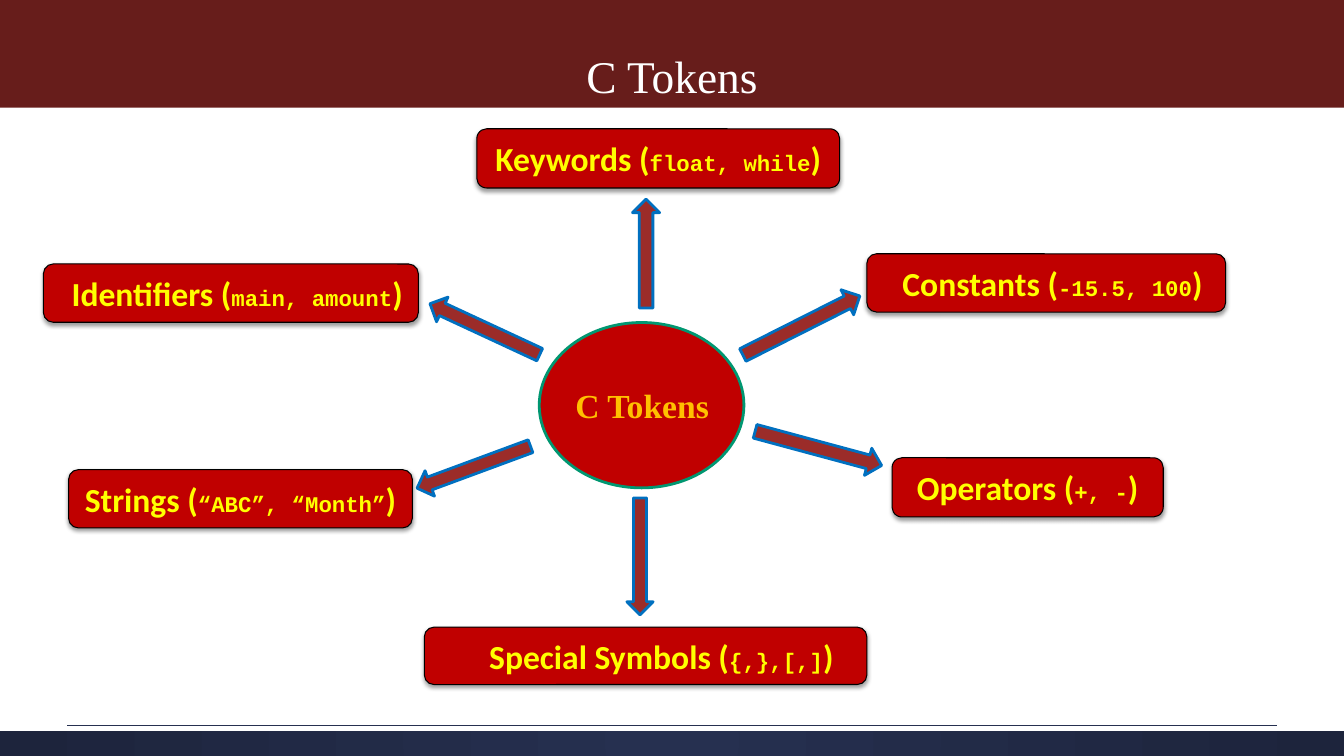
from pptx import Presentation
from pptx.dml.color import RGBColor
from pptx.enum.shapes import MSO_CONNECTOR, MSO_SHAPE
from pptx.enum.text import MSO_ANCHOR, PP_ALIGN
from pptx.oxml import parse_xml
from pptx.oxml.ns import nsdecls
from pptx.util import Pt

RECT, ROUND = MSO_SHAPE.RECTANGLE, MSO_SHAPE.ROUNDED_RECTANGLE
OVAL, ARROW = MSO_SHAPE.OVAL, MSO_SHAPE.RIGHT_ARROW
MID, LOW, MAIN = MSO_ANCHOR.MIDDLE, MSO_ANCHOR.BOTTOM, PP_ALIGN.CENTER
HUES = {
    "band": "671D1B", "red": "C00000", "brown": "9B2C29", "blue": "0070C0",
    "green": "009771", "gold": "FFC000", "yellow": "FFFF00", "white": "FFFFFF",
    "black": "000000", "navy": "263050", "night": "1D243C",
}
COL = {name: RGBColor.from_string(code) for name, code in HUES.items()}


def draw(home, kind, spot, fill, edge=None, width=0):
    shape = home.add_shape(kind, *[Pt(n) for n in spot])
    shape.shadow.inherit = False
    shape.fill.solid()
    shape.fill.fore_color.rgb = COL[fill]
    if edge:
        shape.line.color.rgb = COL[edge]
        shape.line.width = Pt(width)
    else:
        shape.line.fill.background()
    return shape


def write(para, text, hue, form):
    run = para.add_run()
    run.text = text
    run.font.color.rgb = COL[hue]
    for key, value in form.items():
        setattr(run.font, key, value)


deck = Presentation()
deck.slide_width, deck.slide_height = Pt(960), Pt(540)
slide = deck.slides.add_slide(deck.slide_layouts[5])
shapes = slide.shapes

# Footer band with a radial gradient, white strip and rule
foot = draw(shapes, RECT, (0, 518.4, 960, 21.6), "navy")
foot.fill.gradient()
for stop, hue in zip(foot.fill.gradient_stops, ("navy", "night")):
    stop.color.rgb = COL[hue]
grad = foot.fill._xPr.gradFill
grad.remove(grad.lin)
grad.append(parse_xml(
    f'<a:path {nsdecls("a")} path="circle">'
    '<a:fillToRect l="50000" t="50000" r="50000" b="50000"/></a:path>'))
draw(shapes, RECT, (0, 518.4, 960, 3.6), "white")
rule = shapes.add_connector(
    MSO_CONNECTOR.STRAIGHT, Pt(48), Pt(518), Pt(912), Pt(518))
rule.line.color.rgb = COL["navy"]
rule.line.width = Pt(0.75)
rule._element.spPr.append(parse_xml(f'<a:effectLst {nsdecls("a")}/>'))

# Title
title = shapes.title
for key, value in dict(left=0, top=0, width=960, height=77).items():
    setattr(title, key, Pt(value))
title.fill.solid()
title.fill.fore_color.rgb = COL["band"]
title.text_frame.vertical_anchor = LOW
head = title.text_frame.paragraphs[0]
head.alignment = MAIN
write(head, "C Tokens", "white", dict(name="Times New Roman", size=Pt(32.4)))

# Hub
hub = shapes.add_group_shape().shapes
draw(hub, OVAL, (385.2, 230.4, 146.2, 118.1), "red", "green", 2)
label = hub.add_textbox(Pt(403.9), Pt(271.4), Pt(119.5), Pt(36))
label.text_frame.word_wrap = True
write(label.text_frame.paragraphs[0], "C Tokens", "gold",
      dict(name="Times New Roman", size=Pt(24), bold=True))

# Arrows: left, top, length, thickness, turn
for *spot, turn in [
    (537.8, 310.3, 93.6, 20, 15.1),
    (422.6, 171.4, 77.8, 19.4, 270),
    (303.1, 225.4, 86.4, 19.4, 204.9),
    (525.6, 222.5, 93.6, 20, 333.2),
    (295.2, 324, 86.4, 19.4, 159.7),
    (415.4, 388.1, 83.5, 18.7, 90),
]:
    draw(shapes, ARROW, spot, "brown", "blue", 2).rotation = turn

# Token boxes: name, samples, place, indent
SHADE = (
    f'<a:effectLst {nsdecls("a")}><a:outerShdw blurRad="{Pt(3.1)}" '
    f'dist="{Pt(1.6)}" dir="5400000" rotWithShape="0"><a:srgbClr '
    f'val="{HUES["black"]}"><a:alpha val="38000"/></a:srgbClr>'
    '</a:outerShdw></a:effectLst>')
WORD = dict(name="Calibri", size=Pt(24), bold=True)
CODE = dict(name="Courier New", size=Pt(16), bold=True)
for name, code, spot, indent in [
    ("Keywords", "float, while", (340.6, 92, 259.2, 42.3), 0),
    ("Operators", "+, -", (637.2, 327, 193.7, 42.3), 0),
    ("Strings", "“ABC”, “Month”", (49, 335.5, 245.5, 41.6), 0),
    ("Special Symbols", "{,},[,]", (303.1, 448, 316.1, 41), 22.5),
    ("Identifiers", "main, amount", (31, 188.6, 267.8, 41.6), 9),
    ("Constants", "-15.5, 100", (619.2, 181.3, 256.3, 41.6), 9),
]:
    box = draw(shapes, ROUND, spot, "red", "black", 0.75)
    prop = box._element.spPr
    prop.remove(prop.effectLst)
    prop.append(parse_xml(SHADE))
    box.text_frame.vertical_anchor = MID
    para = box.text_frame.paragraphs[0]
    para.alignment = MAIN
    para.level = 1
    para._p.get_or_add_pPr().set("marL", str(Pt(indent)))
    for text, form in ((name + " (", WORD), (code, CODE), (")", WORD)):
        write(para, text, "yellow", form)

deck.save("out.pptx")
